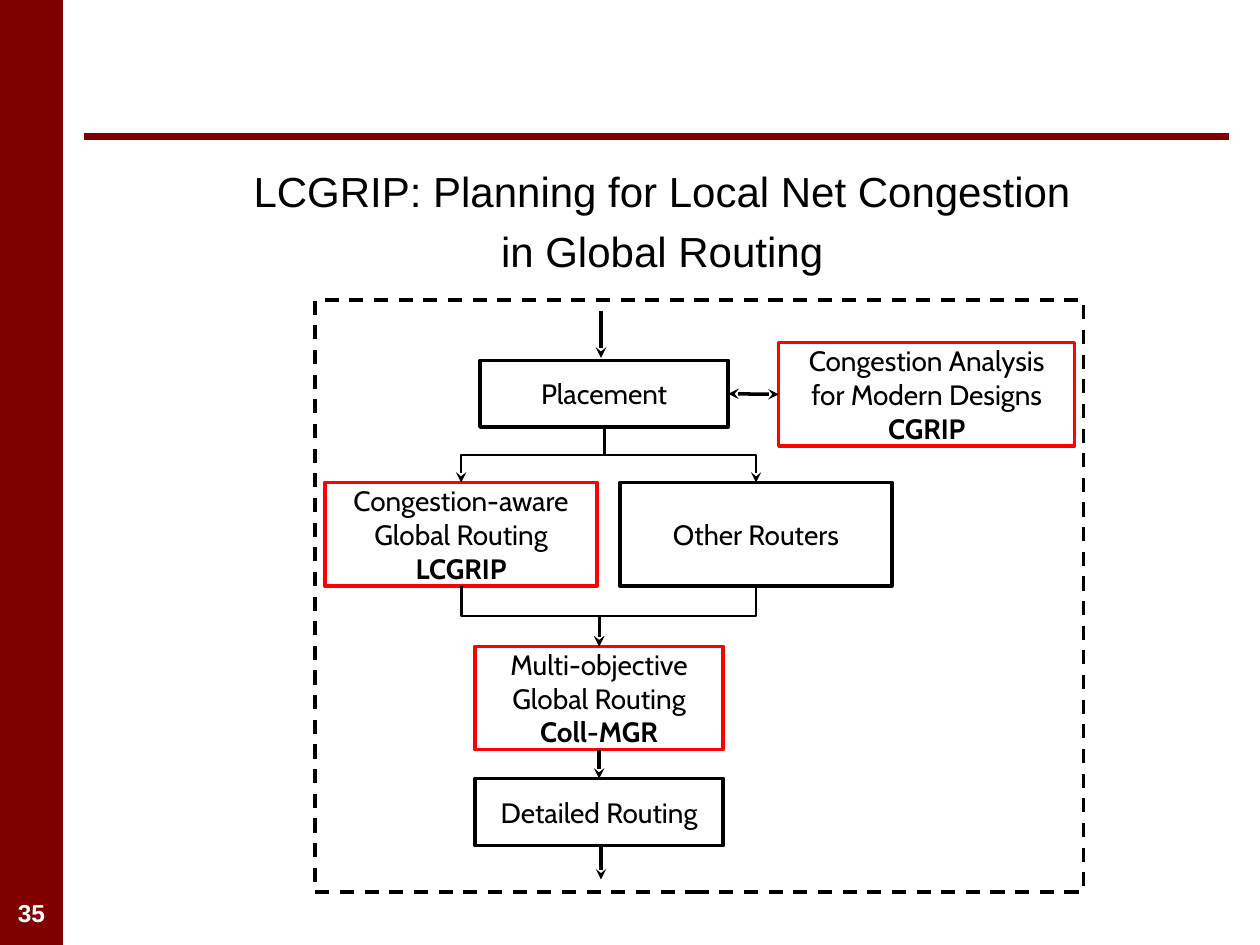
from lxml import etree
from pptx import Presentation
from pptx.dml.color import RGBColor
from pptx.enum.dml import MSO_LINE
from pptx.enum.shapes import MSO_CONNECTOR, MSO_SHAPE
from pptx.enum.text import MSO_ANCHOR, MSO_AUTO_SIZE, PP_ALIGN
from pptx.oxml.ns import qn
from pptx.util import Inches, Pt

MAROON, RED, BLACK, WHITE = "800000", "FF0000", "000000", "FFFFFF"
TOP, LEFT, BOTTOM, RIGHT = range(4)
TITLE_FONT = {"name": "Arial", "size": Pt(24), "bold": False}
BOX_FONT = {"name": "Cabin", "size": Pt(16), "bold": False}
NUMBER_FONT = {"name": "Arial", "size": Pt(14), "bold": True}

# name: (left, top, width, height, line colour, plain lines, bold last line)
BOXES = {
    "placement": (3.81, 2.86, 1.97, 0.53, BLACK, ["Placement"], None),
    "analysis": (6.18, 2.72, 2.35, 0.82, RED,
                 ["Congestion Analysis for Modern Designs"], "CGRIP"),
    "multi": (3.77, 5.13, 1.97, 0.82, RED,
              ["Multi-objective", "Global Routing"], "Coll-MGR"),
    "detailed": (3.77, 6.18, 1.97, 0.53, BLACK, ["Detailed Routing"], None),
    "aware": (2.58, 3.83, 2.16, 0.82, RED,
              ["Congestion-aware", "Global Routing"], "LCGRIP"),
    "others": (4.92, 3.83, 2.16, 0.82, BLACK, ["Other Routers"], None),
}


def rgb(color):
    return RGBColor.from_string(color)


def add_paragraphs(tf, lines, font, color=BLACK, space_before=0):
    for i, line in enumerate(lines):
        p = tf.add_paragraph() if i else tf.paragraphs[0]
        p.alignment = PP_ALIGN.CENTER
        p.space_before = Pt(space_before if i else 0)
        r = p.add_run()
        r.text = line
        for key, value in font.items():
            setattr(r.font, key, value)
        r.font.color.rgb = rgb(color)


def add_rect(slide, x, y, w, h, fill=None, line=None):
    sp = slide.shapes.add_shape(
        MSO_SHAPE.RECTANGLE, Inches(x), Inches(y), Inches(w), Inches(h))
    sp.shadow.inherit = False
    if fill:
        sp.fill.solid()
        sp.fill.fore_color.rgb = rgb(fill)
    else:
        sp.fill.background()
    if line:
        sp.line.color.rgb = rgb(line)
        sp.line.width = Pt(2)
    else:
        sp.line.fill.background()
    return sp


def add_box(slide, x, y, w, h, color, lines, name):
    sp = add_rect(slide, x, y, w, h, line=color)
    tf = sp.text_frame
    tf.word_wrap = True
    tf.vertical_anchor = MSO_ANCHOR.MIDDLE
    add_paragraphs(tf, lines + ([name] if name else []), BOX_FONT)
    if name:
        tf.paragraphs[-1].runs[0].font.bold = True
    return sp


def add_line(slide, start=(0, 0), end=(0, 0), begin=None, finish=None, color=BLACK,
             width=2, arrows=("tailEnd",), kind=MSO_CONNECTOR.STRAIGHT):
    """Join points, or (shape, side) pairs given as begin and finish."""
    cxn = slide.shapes.add_connector(kind, *(Inches(v) for v in start + end))
    if begin:
        cxn.begin_connect(*begin)
    if finish:
        cxn.end_connect(*finish)
    cxn.line.color.rgb = rgb(color)
    cxn.line.width = Pt(width)
    ln = cxn.line._get_or_add_ln()
    for arrow in arrows:
        etree.SubElement(ln, qn(f"a:{arrow}"), type="stealth")
    etree.SubElement(cxn._element.spPr, qn("a:effectLst"))
    return cxn


def add_elbow(slide, upper, lower):
    """Run down, across and down from the bottom of one box to the top of another."""
    cxn = add_line(slide, begin=(upper, BOTTOM), finish=(lower, TOP),
                   width=1.5, kind=MSO_CONNECTOR.ELBOW)
    x1, y1, x2, y2 = cxn.begin_x, cxn.begin_y, cxn.end_x, cxn.end_y
    w, h = y2 - y1, abs(x2 - x1)
    cxn.left, cxn.top = (x1 + x2 - w) // 2, (y1 + y2 - h) // 2
    cxn.width, cxn.height = w, h
    xfrm = cxn._element.spPr.find(qn("a:xfrm"))
    goes_right = x2 > x1
    xfrm.set("rot", str((270 if goes_right else 90) * 60000))
    xfrm.set("flipH", "1" if goes_right else "0")


def add_title(slide):
    title = slide.shapes.title
    title.left, title.top = Inches(0.67), Inches(1.26)
    title.width, title.height = Inches(9.17), Inches(0.99)
    tf = title.text_frame
    tf.auto_size = MSO_AUTO_SIZE.NONE
    tf.vertical_anchor = MSO_ANCHOR.TOP
    add_paragraphs(tf, ["LCGRIP: Planning for Local Net Congestion",
                        "in Global Routing"], TITLE_FONT, space_before=6)


def add_page_frame(slide):
    add_rect(slide, 0, 0, 0.5, 7.5, fill=MAROON)
    add_line(slide, (0.67, 1.08), (9.75, 1.08), color=MAROON, width=4, arrows=())
    number = slide.shapes.add_textbox(
        Inches(0), Inches(7.08), Inches(0.5), Inches(0.33))
    number.text_frame.word_wrap = True
    add_paragraphs(number.text_frame, ["35"], NUMBER_FONT, WHITE)


def add_flow(slide):
    frame = add_rect(slide, 2.5, 2.38, 6.1, 4.7, line=BLACK)
    frame.line.dash_style = MSO_LINE.DASH
    boxes = {key: add_box(slide, *box) for key, box in BOXES.items()}
    add_line(slide, begin=(boxes["placement"], RIGHT),
             finish=(boxes["analysis"], LEFT), arrows=("headEnd", "tailEnd"))
    add_line(slide, begin=(boxes["multi"], BOTTOM), finish=(boxes["detailed"], TOP))
    for y1, y2 in ((2.47, 2.84), (6.71, 6.98)):
        add_line(slide, (4.77, y1), (4.77, y2))
    for router in ("others", "aware"):
        add_elbow(slide, boxes["placement"], boxes[router])
        add_elbow(slide, boxes[router], boxes["multi"])


def main():
    prs = Presentation()
    prs.slide_width, prs.slide_height = Inches(10), Inches(7.5)
    slide = prs.slides.add_slide(prs.slide_layouts[5])
    add_page_frame(slide)
    add_title(slide)
    add_flow(slide)
    prs.save("out.pptx")


if __name__ == "__main__":
    main()
